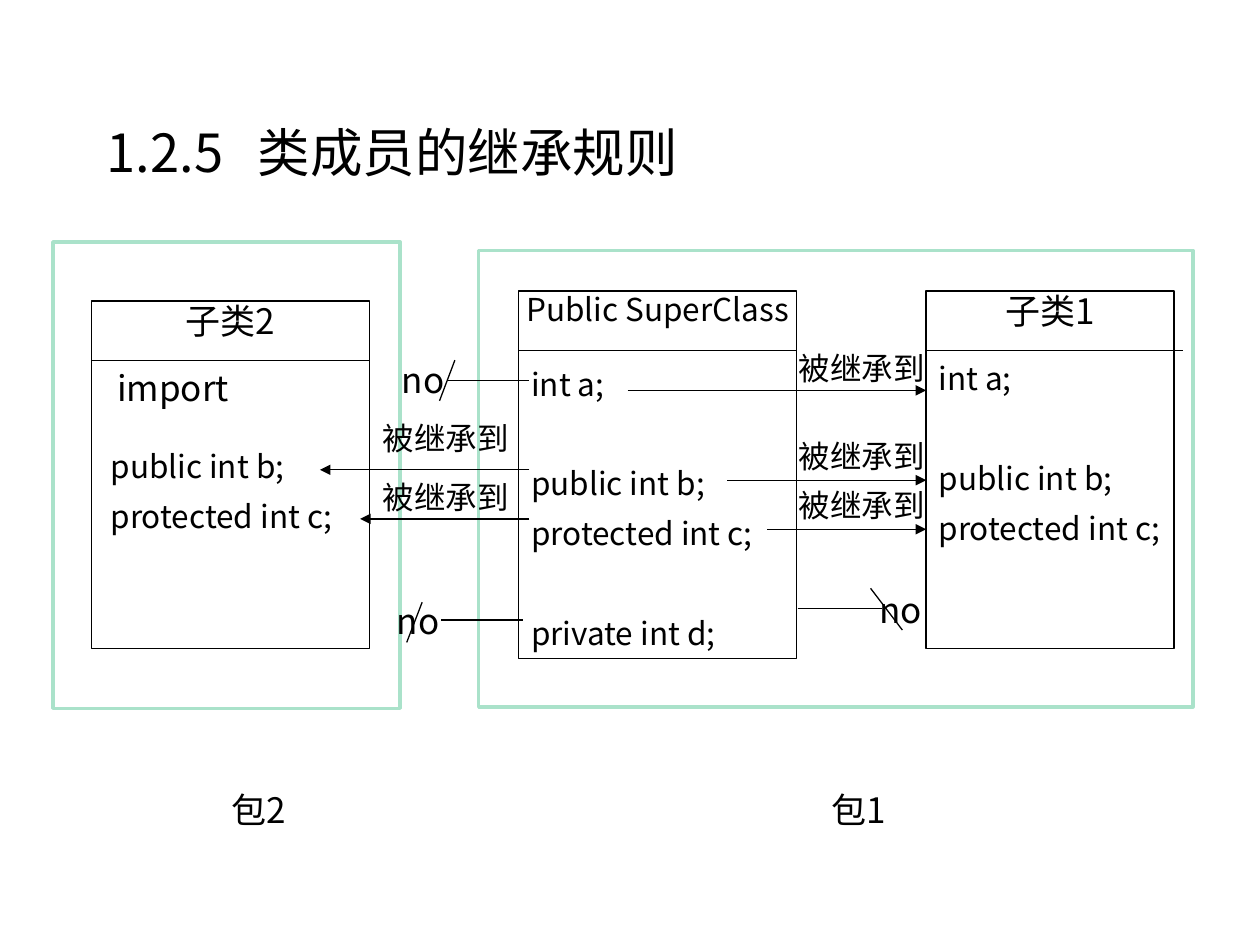
from lxml.etree import SubElement
from pptx import Presentation
from pptx.dml.color import RGBColor
from pptx.enum.shapes import MSO_CONNECTOR as Connector, MSO_SHAPE as Shape
from pptx.enum.text import MSO_ANCHOR as Anchor, PP_ALIGN as Align
from pptx.oxml.ns import qn
from pptx.util import Cm, Pt

BLACK = RGBColor(0x00, 0x00, 0x00)
WHITE = RGBColor(0xFF, 0xFF, 0xFF)
MINT = RGBColor(0xAA, 0xE2, 0xCA)
FONT = "Noto Sans CJK SC"
INHERITED = "被继承到"

deck = Presentation()
deck.slide_width = Cm(25.4)
deck.slide_height = Cm(19.05)
page = deck.slides.add_slide(deck.slide_layouts[6])


def write(box, lines, size, gaps=(0,), anchor=Anchor.TOP, wrap=True, **formats):
    frame = box.text_frame
    frame.word_wrap = wrap
    frame.vertical_anchor = anchor
    for index, (line, gap) in enumerate(zip(lines, gaps)):
        para = frame.add_paragraph() if index else frame.paragraphs[0]
        for name, value in ({"line_spacing": 0.8, "space_before": Pt(gap)} | formats).items():
            setattr(para, name, value)
        span = para.add_run()
        span.text = line
        for name, value in {"name": FONT, "size": Pt(size)}.items():
            setattr(span.font, name, value)
        span.font.color.rgb = BLACK
        SubElement(span.font._element, qn("a:ea"), typeface=FONT)


def draw_line(x1, y1, x2, y2, arrow=False):
    line = page.shapes.add_connector(Connector.STRAIGHT, Cm(x1), Cm(y1), Cm(x2), Cm(y2))
    line.line.color.rgb = BLACK
    line.line.width = Pt(0.75)
    if arrow:
        SubElement(line.line._get_or_add_ln(), qn("a:tailEnd"), type="triangle")
    SubElement(line._element.spPr, qn("a:effectLst"))


title = page.shapes.add_textbox(Cm(1.9), Cm(2.11), Cm(21.6), Cm(1.9))
stops = SubElement(title.text_frame.paragraphs[0]._p.get_or_add_pPr(), qn("a:tabLst"))
SubElement(stops, qn("a:tab"), pos=str(Cm(3.05)), algn="l")
write(title, ["1.2.5\t类成员的继承规则"], 30, anchor=Anchor.MIDDLE, line_spacing=1.0)

for left, top, width, height in [(1.07, 4.88, 7, 9.4), (9.65, 5.05, 14.4, 9.2)]:
    package_frame = page.shapes.add_shape(
        Shape.RECTANGLE, Cm(left), Cm(top), Cm(width), Cm(height))
    package_frame.shadow.inherit = False
    package_frame.fill.solid()
    package_frame.fill.fore_color.rgb = WHITE
    package_frame.line.color.rgb = MINT
    package_frame.line.width = Pt(2)

classes = [
    ("子类2", 20, 1.85, 6.07, 5.6, 7, 5.6),
    ("Public SuperClass", 18, 10.46, 5.87, 5.6, 7.4, 5.6),
    ("子类1", 20, 18.67, 5.87, 5, 7.2, 5.18),
]
for name, size, left, top, width, height, divider in classes:
    class_box = page.shapes.add_shape(
        Shape.RECTANGLE, Cm(left), Cm(top), Cm(width), Cm(height))
    class_box.shadow.inherit = False
    class_box.fill.background()
    class_box.line.color.rgb = BLACK
    class_box.line.width = Pt(0.75)
    write(class_box, [name], size, wrap=False, alignment=Align.CENTER)
    draw_line(left, top + 1.2, left + divider, top + 1.2)

NEXT = 11.2
SKIP = 39.7
member_lists = [
    (1.98, 9.04, 5.28, 1.88, Anchor.TOP,
     {"public int b;": 0, "protected int c;": NEXT}),
    (10.46, 7.37, 5.41, 5.89, Anchor.MIDDLE,
     {"int a;": 0, "public int b;": SKIP, "protected int c;": NEXT, "private int d;": SKIP}),
    (18.67, 7.26, 5, 3.89, Anchor.TOP,
     {"int a;": 0, "public int b;": SKIP, "protected int c;": NEXT}),
]
for left, top, width, height, anchor, members in member_lists:
    box = page.shapes.add_textbox(Cm(left), Cm(top), Cm(width), Cm(height))
    write(box, members.keys(), 18, members.values(), anchor)

labels = [
    ("包2", 20, 4.42, 15.93, 3),
    ("包1", 20, 16.51, 15.93, 2.6),
    ("import", 20, 2.11, 7.42, 5),
    ("no", 20, 7.85, 7.26, 1.8),
    ("no", 20, 7.75, 12.12, 1.8),
    ("no", 20, 17.48, 11.91, 1.68),
    (INHERITED, 18, 7.47, 8.46, 3.25),
    (INHERITED, 18, 7.47, 9.65, 3.25),
    (INHERITED, 18, 15.85, 7.06, 3.2),
    (INHERITED, 18, 15.85, 8.84, 3.2),
    (INHERITED, 18, 15.85, 9.83, 3.2),
]
for text, size, left, top, width in labels:
    box = page.shapes.add_textbox(Cm(left), Cm(top), Cm(width), Cm(0.9))
    write(box, [text], size)

for start, end, y in [(10.67, 6.45, 9.47), (10.67, 7.26, 10.46), (12.65, 18.67, 7.87),
                      (14.66, 18.67, 9.68), (15.47, 18.67, 10.67)]:
    draw_line(start, y, end, y, arrow=True)

blocked_links = [
    (9.02, 7.67, 10.67, 7.67), (9.17, 7.26, 8.86, 8.08),
    (8.89, 12.5, 10.54, 12.5), (8.51, 12.14, 8.2, 12.95),
    (16.08, 12.27, 17.78, 12.27), (17.55, 11.86, 18.19, 12.7),
]
for ends in blocked_links:
    draw_line(*ends)

deck.save("out.pptx")
